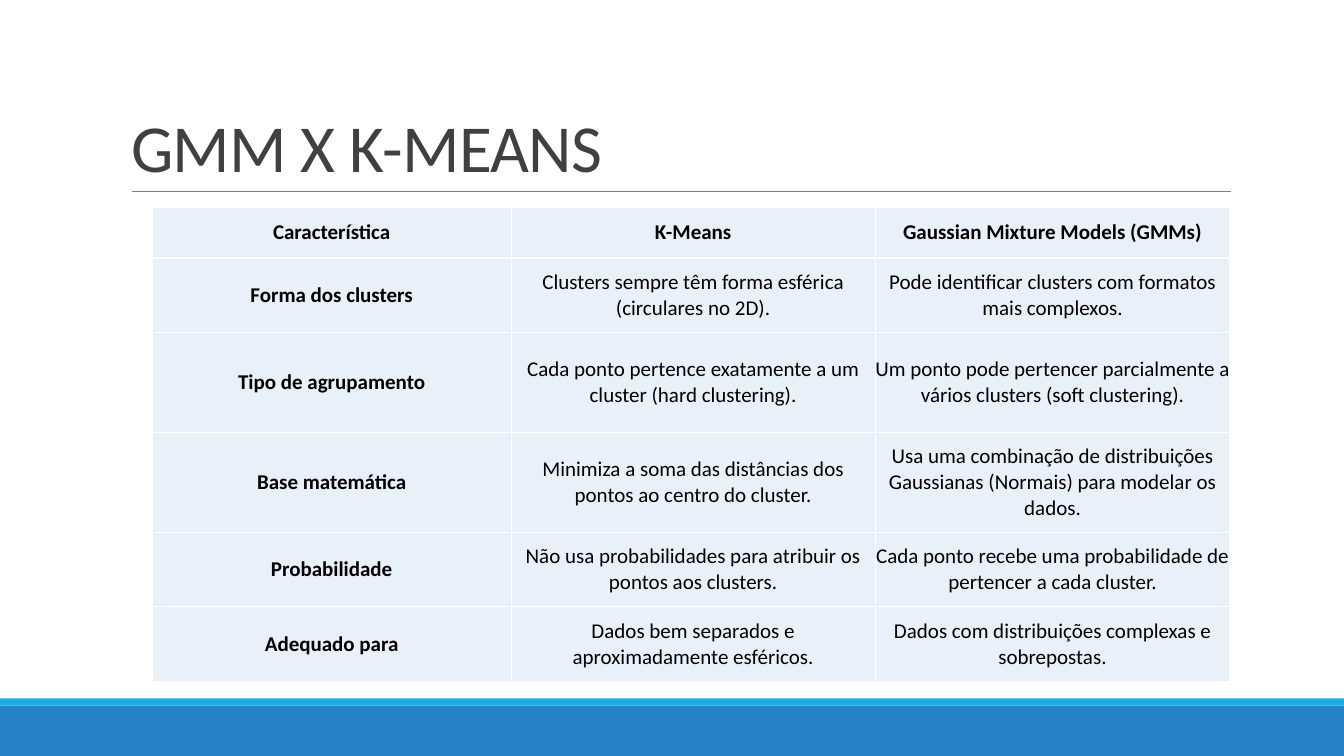
from dataclasses import dataclass

import pptx
import pptx.dml.color
import pptx.enum.shapes
import pptx.enum.text
import pptx.oxml
import pptx.oxml.ns
import pptx.util
from pptx.util import Inches


@dataclass(frozen=True)
class Theme:
    font: str = "Calibri"
    title_size: float = 48
    cell_size: float = 15
    title: str = "404040"
    text: str = "000000"
    rule: str = "808080"
    cell: str = "E8F1FA"
    border: str = "FFFFFF"
    band: str = "2683C6"
    stripe: str = "1CADE4"


THEME = Theme()
COLUMN_WIDTHS = [3.56, 3.61, 3.52]
ROW_HEIGHTS = [0.5, 0.74, 0.99, 0.99, 0.74, 0.74]
COMPARISON = [
    ("Característica", "K-Means", "Gaussian Mixture Models (GMMs)"),
    ("Forma dos clusters",
     "Clusters sempre têm forma esférica (circulares no 2D).",
     "Pode identificar clusters com formatos mais complexos."),
    ("Tipo de agrupamento",
     "Cada ponto pertence exatamente a um cluster (hard clustering).",
     "Um ponto pode pertencer parcialmente a vários clusters (soft clustering)."),
    ("Base matemática",
     "Minimiza a soma das distâncias dos pontos ao centro do cluster.",
     "Usa uma combinação de distribuições Gaussianas (Normais) para modelar os dados."),
    ("Probabilidade",
     "Não usa probabilidades para atribuir os pontos aos clusters.",
     "Cada ponto recebe uma probabilidade de pertencer a cada cluster."),
    ("Adequado para",
     "Dados bem separados e aproximadamente esféricos.",
     "Dados com distribuições complexas e sobrepostas."),
]


def rgb(value):
    return pptx.dml.color.RGBColor.from_string(value)


def format_font(font, size, color, bold=False):
    font.name = THEME.font
    font.size = pptx.util.Pt(size)
    font.color.rgb = rgb(color)
    font.bold = bold


def add_band(slide, top, height, color, width):
    shape = slide.shapes.add_shape(
        pptx.enum.shapes.MSO_SHAPE.RECTANGLE, 0, Inches(top), width, Inches(height))
    shape.shadow.inherit = False
    shape.fill.solid()
    shape.fill.fore_color.rgb = rgb(color)
    shape.line.fill.background()


def add_rule(slide, left, right, top):
    rule = slide.shapes.add_connector(
        pptx.enum.shapes.MSO_CONNECTOR.STRAIGHT,
        Inches(left), Inches(top), Inches(right), Inches(top))
    rule.line.color.rgb = rgb(THEME.rule)
    rule.line.width = pptx.util.Pt(0.5)
    rule._element.spPr.append(pptx.oxml.parse_xml(
        f"<a:effectLst {pptx.oxml.ns.nsdecls('a')}/>"))


def set_title(slide, text):
    title = slide.shapes.title
    title.left, title.top = Inches(1.2), Inches(0.31)
    title.width, title.height = Inches(11), Inches(1.59)
    frame = title.text_frame
    frame.text = text
    frame.word_wrap = True
    frame.auto_size = pptx.enum.text.MSO_AUTO_SIZE.NONE
    frame.vertical_anchor = pptx.enum.text.MSO_ANCHOR.BOTTOM
    paragraph = frame.paragraphs[0]
    paragraph.alignment = pptx.enum.text.PP_ALIGN.LEFT
    paragraph.line_spacing = 0.85
    run = paragraph.runs[0]
    format_font(run.font, THEME.title_size, THEME.title)
    run._r.get_or_add_rPr().set("spc", "-50")


def set_borders(cell):
    """Draw the four cell borders, which must precede the fill in the XML."""
    properties = cell._tc.get_or_add_tcPr()
    for index, side in enumerate(("lnL", "lnR", "lnT", "lnB")):
        properties.insert(index, pptx.oxml.parse_xml(
            f'<a:{side} {pptx.oxml.ns.nsdecls("a")} w="{pptx.util.Pt(1)}">'
            f'<a:solidFill><a:srgbClr val="{THEME.border}"/></a:solidFill></a:{side}>'))


def format_cell(cell, text, bold):
    cell.margin_left = cell.margin_right = cell.margin_top = cell.margin_bottom = 0
    cell.vertical_anchor = pptx.enum.text.MSO_ANCHOR.MIDDLE
    cell.fill.solid()
    cell.fill.fore_color.rgb = rgb(THEME.cell)
    set_borders(cell)
    cell.text_frame.text = text
    paragraph = cell.text_frame.paragraphs[0]
    paragraph.alignment = pptx.enum.text.PP_ALIGN.CENTER
    format_font(paragraph.runs[0].font, THEME.cell_size, THEME.text, bold)


def add_comparison_table(slide, left, top):
    table = slide.shapes.add_table(
        len(ROW_HEIGHTS), len(COLUMN_WIDTHS), Inches(left), Inches(top),
        Inches(sum(COLUMN_WIDTHS)), Inches(sum(ROW_HEIGHTS))).table
    table.horz_banding = False
    for column, width in zip(table.columns, COLUMN_WIDTHS):
        column.width = Inches(width)
    for row, height in zip(table.rows, ROW_HEIGHTS):
        row.height = Inches(height)
    for row_index, texts in enumerate(COMPARISON):
        for column_index, text in enumerate(texts):
            is_heading = row_index == 0 or column_index == 0
            format_cell(table.cell(row_index, column_index), text, is_heading)


def main():
    presentation = pptx.Presentation()
    presentation.slide_width = Inches(13.33)
    presentation.slide_height = Inches(7.5)
    title_only = presentation.slide_layouts[5]
    slide = presentation.slides.add_slide(title_only)
    add_band(slide, 7, 0.5, THEME.band, presentation.slide_width)
    add_band(slide, 6.93, 0.07, THEME.stripe, presentation.slide_width)
    add_rule(slide, 1.31, 12.21, 1.9)
    set_title(slide, "GMM X K-MEANS")
    add_comparison_table(slide, 1.51, 2.06)
    presentation.save("out.pptx")


if __name__ == "__main__":
    main()
